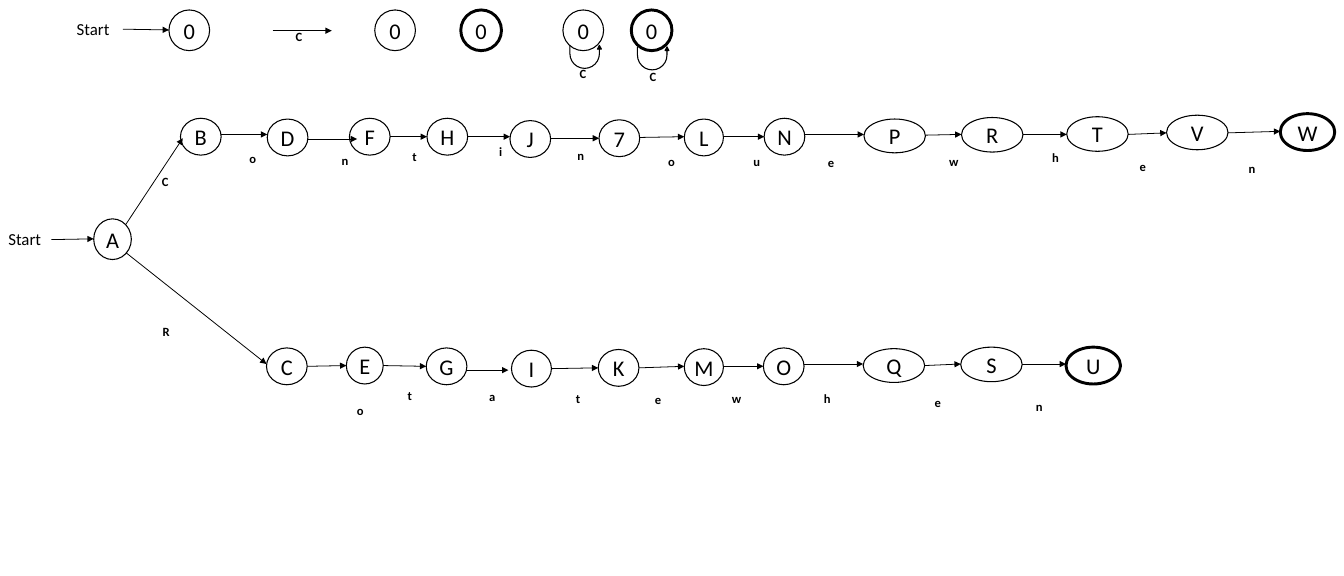
from itertools import pairwise
from lxml import etree
from pptx import Presentation
from pptx import util as u
from pptx.dml import color
from pptx.enum import shapes, text
from pptx.oxml import ns

theme = dict(font="Calibri", ink=color.RGBColor(0, 0, 0), node=21, start=15.8, mark=11.8,
             thin=0.75, edge=1, bold=2.75)

deck = Presentation()
deck.slide_width, deck.slide_height = u.Inches(17.5), u.Inches(7.5)
slide = deck.slides.add_slide(deck.slide_layouts[6])
col, row = deck.slide_width / 17.5, deck.slide_height / 7.5


def grid(x, y, *size):
    spots = [int(x * col), int(y * row)]
    return spots + [int(n * unit) for n, unit in zip(size, (col, row))]


def write(words, box, size="mark", bold=False, line=None):
    if line:
        item = slide.shapes.add_shape(shapes.MSO_SHAPE.OVAL, *grid(*box))
        item.shadow.inherit = False
        item.fill.background()
        item.line.color.rgb = theme["ink"]
        item.line.width = u.Pt(theme[line])
    else:
        item = slide.shapes.add_textbox(*grid(*box))
    frame = item.text_frame
    frame.word_wrap = True
    if line:
        frame.margin_left = frame.margin_right = frame.margin_top = frame.margin_bottom = 0
        frame.vertical_anchor = text.MSO_ANCHOR.MIDDLE
    para = frame.paragraphs[0]
    para.alignment = text.PP_ALIGN.CENTER if line else text.PP_ALIGN.LEFT
    run = para.add_run()
    run.text = words
    run.font.name, run.font.size, run.font.bold = theme["font"], u.Pt(theme[size]), bold
    run.font.color.rgb = theme["ink"]


# name, left, top, width, height, arrow start y, arrow end y, mark, mark left, mark top
top = [
    ("B", 2.35, 1.54, 0.53, 0.48, 2.92, 1.8, "C", 2.01, 2.22),
    ("D", 3.48, 1.55, 0.53, 0.48, 1.75, 1.75, "o", 3.15, 1.92),
    ("F", 4.55, 1.54, 0.53, 0.48, 1.81, 1.81, "n", 4.35, 1.94),
    ("H", 5.56, 1.54, 0.53, 0.48, 1.78, 1.78, "t", 5.27, 1.89),
    ("J", 6.64, 1.57, 0.53, 0.48, 1.78, 1.78, "i", 6.4, 1.83),
    ("7", 7.8, 1.56, 0.53, 0.48, 1.8, 1.8, "n", 7.42, 1.88),
    ("L", 8.91, 1.55, 0.51, 0.48, 1.79, 1.78, "o", 8.6, 1.96),
    ("N", 9.95, 1.54, 0.53, 0.48, 1.78, 1.78, "u", 9.71, 1.96),
    ("P", 11.25, 1.55, 0.8, 0.44, 1.75, 1.75, "e", 10.68, 1.97),
    ("R", 12.52, 1.53, 0.8, 0.45, 1.76, 1.75, "w", 12.26, 1.96),
    ("T", 13.89, 1.52, 0.8, 0.45, 1.75, 1.75, "h", 13.6, 1.9),
    ("V", 15.19, 1.5, 0.8, 0.45, 1.75, 1.73, "e", 14.74, 2.02),
    ("W", 16.67, 1.48, 0.71, 0.48, 1.73, 1.71, "n", 16.16, 2.04),
]
low = [
    ("C", 3.47, 4.53, 0.53, 0.48, 3.29, 4.74, "R", 2.02, 4.17),
    ("E", 4.51, 4.52, 0.48, 0.48, 4.77, 4.76, "o", 4.55, 5.2),
    ("G", 5.55, 4.53, 0.53, 0.48, 4.76, 4.77, "t", 5.21, 5),
    ("I", 6.66, 4.56, 0.52, 0.48, 4.82, 4.82, "a", 6.27, 5.01),
    ("K", 7.79, 4.55, 0.53, 0.48, 4.8, 4.79, "t", 7.4, 5.04),
    ("M", 8.91, 4.54, 0.51, 0.48, 4.79, 4.77, "e", 8.43, 5.06),
    ("O", 9.94, 4.53, 0.53, 0.48, 4.77, 4.77, "w", 9.43, 5.04),
    ("Q", 11.24, 4.54, 0.8, 0.44, 4.74, 4.74, "h", 10.63, 5.04),
    ("S", 12.51, 4.52, 0.8, 0.45, 4.76, 4.74, "e", 12.07, 5.09),
    ("U", 13.88, 4.52, 0.71, 0.48, 4.74, 4.74, "n", 13.39, 5.15),
]
shift = {"B": 0.03, "F": 0.1, "I": -0.04}
fork = 1.64

nodes = [("0", (x, 0.13, 0.53, 0.53), line) for x, line in
         ((2.2, "edge"), (4.88, "edge"), (6, "bold"), (7.33, "edge"), (8.22, "bold"))]
nodes.append(("A", (1.22, 2.85, 0.49, 0.53), "edge"))
links = [(1.6, 0.38, 2.2, 0.39), (3.55, 0.4, 4.32, 0.4), (0.67, 3.12, 1.22, 3.11)]
marks = [("C", 3.75, 0.33), ("C", 7.45, 0.81), ("C", 8.36, 0.85)]

for chain in (top, low):
    for name, x, y, w, h, y1, y2, mark, mx, my in chain:
        nodes.append((name, (x, y, w, h), "bold" if name in "WU" else "edge"))
        marks.append((mark, mx, my))
    ends = [fork] + [node[1] + node[3] for node in chain]
    for x, node in zip(ends, chain):
        links.append((x, node[5], node[1] + shift.get(node[0], 0), node[6]))

for x, y, x2, y2 in links:
    arrow = slide.shapes.add_connector(shapes.MSO_CONNECTOR.STRAIGHT, *grid(x, y), *grid(x2, y2))
    arrow.line.color.rgb = theme["ink"]
    arrow.line.width = u.Pt(theme["thin"])
    etree.SubElement(arrow.line._get_or_add_ln(), ns.qn("a:tailEnd"), type="triangle")
    etree.SubElement(arrow._element.spPr, ns.qn("a:effectLst"))

for name, box, line in nodes:
    write(name, box, size="node", line=line)

for x, y in ((7.42, 0.59), (8.3, 0.61)):
    loop = slide.shapes.add_shape(shapes.MSO_SHAPE.U_TURN_ARROW, *grid(x, y, 0.41, 0.3))
    for spot, share in enumerate((0, 0.085, 0.164, 0.717, 1)):
        loop.adjustments[spot] = share
    loop.rotation = 180
    loop._element.spPr.xfrm.set("flipH", "1")
    loop.shadow.inherit = False
    loop.fill.solid()
    loop.fill.fore_color.rgb = loop.line.color.rgb = theme["ink"]
    loop.line.width = u.Pt(theme["edge"])

for mark, x, y in marks:
    write(mark, (x, y, 0.35, 0.3), bold=True)

for x, y in ((0.9, 0.2), (0.01, 2.93)):
    write("Start", (x, y, 0.7, 0.37), size="start")

deck.save("out.pptx")
